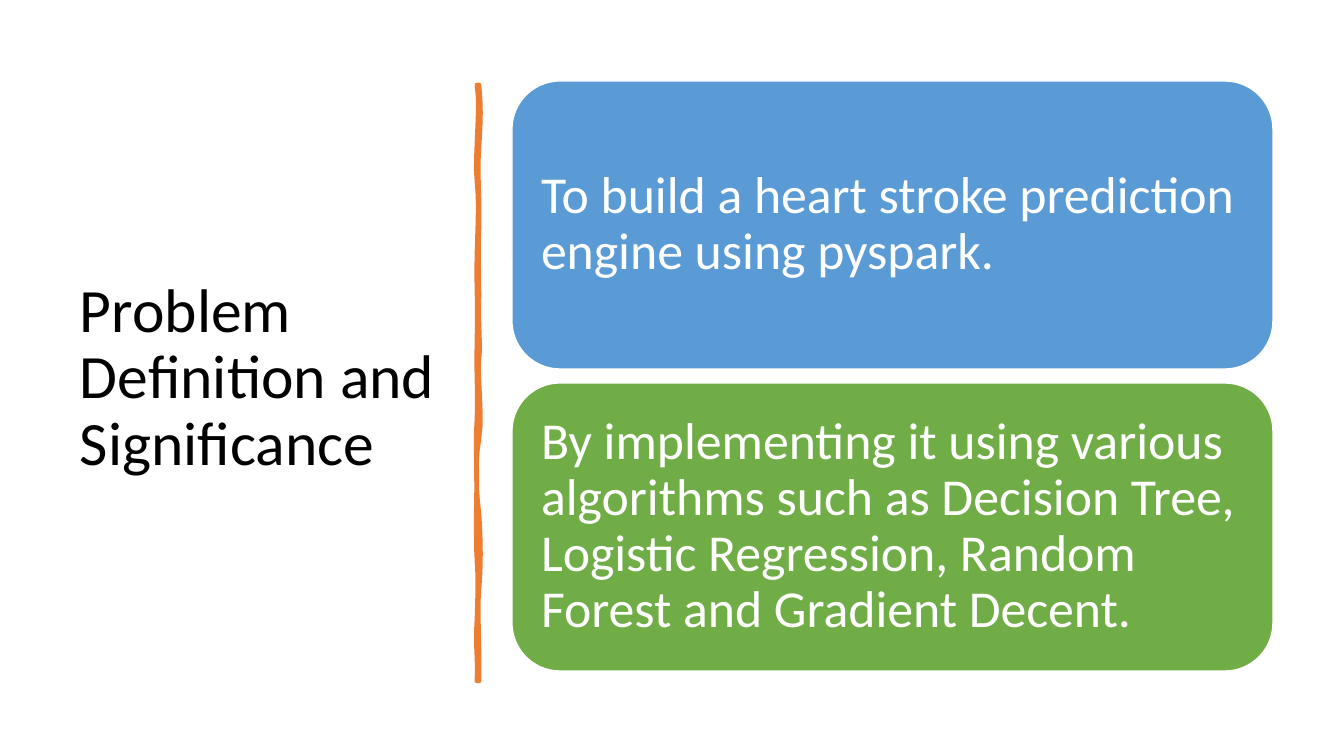
from lxml import etree
from pptx import Presentation
from pptx.dml.color import RGBColor as RGB
from pptx.enum.shapes import MSO_SHAPE as SHAPE
from pptx.enum.text import MSO_ANCHOR as ANCHOR, PP_ALIGN as ALIGN
from pptx.oxml.ns import qn
from pptx.util import Pt

UNIT = 914400 / 100.8


def px(n):
    return round(n * UNIT)


def color(code):
    return RGB.from_string(code)


def write(shape, text, size=37, ink="FFFFFF", inset=15):
    frame = shape.text_frame
    frame.word_wrap = True
    frame.vertical_anchor = ANCHOR.MIDDLE
    frame.margin_left = frame.margin_right = px(inset)
    frame.margin_top = frame.margin_bottom = px(inset)
    para = frame.paragraphs[0]
    para.alignment = ALIGN.LEFT
    para.line_spacing = 0.9
    run = para.add_run()
    run.text = text
    run.font.name = "Calibri"
    run.font.size = Pt(size)
    run.font.color.rgb = color(ink)


def paint(shape, fill, line, width):
    shape.shadow.inherit = False
    shape.fill.solid()
    shape.fill.fore_color.rgb = color(fill)
    shape.line.color.rgb = color(line)
    shape.line.width = Pt(width)


def title(slide, box, text):
    area = slide.shapes.add_textbox(*map(px, box))
    write(area, text, size=44, ink="000000", inset=10)


def curve(knots, steps=6):
    """Points along joined cubic curves: a start, then three knots per curve."""
    points = [knots[0]]
    for i in range(0, len(knots) - 1, 3):
        a, b, c, d = knots[i:i + 4]
        for k in range(1, steps + 1):
            t = k / steps
            u = 1 - t
            points.append(tuple(
                u**3 * p + 3 * u * u * t * q + 3 * u * t * t * r + t**3 * s
                for p, q, r, s in zip(a, b, c, d)))
    return points


# Edges of the hand-drawn rule, relative to its top left corner
RIGHT = [(4, 0), (6, 18), (6, 35), (4, 62), (2, 89), (5, 112), (4, 143),
         (3, 174), (4, 179), (4, 211), (3, 243), (6, 260), (4, 274),
         (2, 288), (8, 332), (4, 354), (0, 376), (1, 403), (4, 429),
         (6, 455), (6, 484), (4, 504), (2, 523), (5, 570), (4, 596)]
LEFT = [(2, 596), (3, 566), (0, 564), (2, 533), (3, 503), (3, 490), (2, 476),
        (1, 463), (1, 414), (2, 396), (2, 378), (0, 364), (2, 333),
        (3, 304), (1, 291), (2, 253), (3, 215), (1, 198), (2, 167),
        (3, 135), (4, 117), (2, 97), (-1, 79), (6, 20), (2, 0)]


def rule(slide, left, top, ink):
    points = [(px(left + x), px(top + y))
              for x, y in curve(RIGHT) + curve(LEFT)]
    pen = slide.shapes.build_freeform(*points[0])
    pen.add_line_segments(points[1:], close=True)
    stroke = pen.convert_to_shape()
    paint(stroke, ink, ink, 3.25)
    # Rounded corners
    line = stroke.element.spPr.find(qn("a:ln"))
    etree.SubElement(line, qn("a:round"))


def cards(slide, box, items, gap=14):
    left, top, width, height = box
    tall = (height - gap * (len(items) - 1)) / len(items)
    for i, (fill, text) in enumerate(items):
        y = top + i * (tall + gap)
        card = slide.shapes.add_shape(
            SHAPE.ROUNDED_RECTANGLE, *map(px, (left, y, width, tall)))
        paint(card, fill, "FFFFFF", 1)
        write(card, text)


deck = Presentation()
deck.slide_width, deck.slide_height = px(1344), px(756)
slide = deck.slides.add_slide(deck.slide_layouts[6])

title(slide, (70, 71, 377, 616), "Problem Definition and Significance")
rule(slide, 475, 85, "ED7D31")
cards(slide, (512, 81, 761, 590), [
    ("5B9BD5", "To build a heart stroke prediction engine using pyspark."),
    ("70AD47", "By implementing it using various algorithms such as Decision "
               "Tree, Logistic Regression, Random Forest and Gradient Decent."),
])

deck.save("out.pptx")
